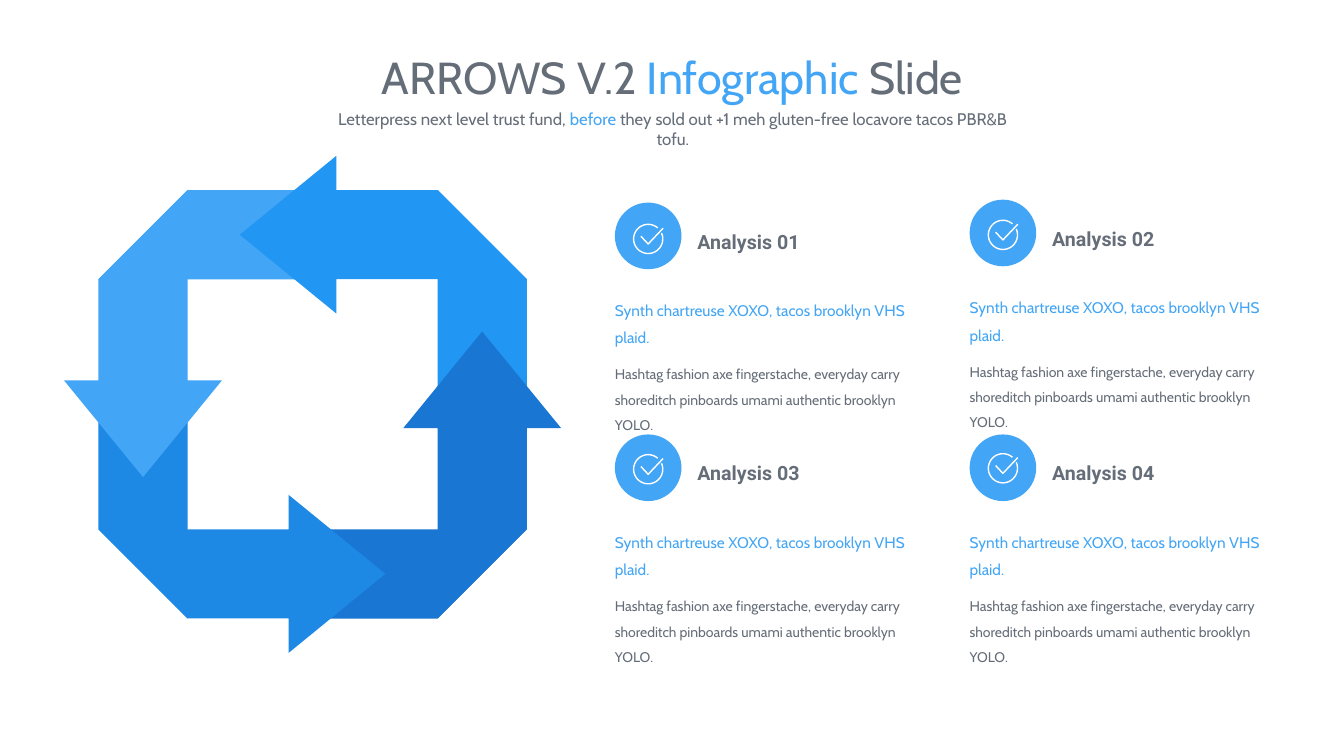
from math import cos, radians, sin

from pptx import Presentation
from pptx.dml.color import RGBColor
from pptx.enum.shapes import MSO_SHAPE as SHAPE
from pptx.enum.text import MSO_ANCHOR as ANCHOR, PP_ALIGN as ALIGN
from pptx.util import Pt

# Content
GREY, BLUE, WHITE = "656D78", "42A5F5", "FFFFFF"
TITLE = [("ARROWS V.2 ", GREY), ("Infographic ", BLUE), ("Slide", GREY)]
SUBTITLE = [
    ("Letterpress next level trust fund, ", GREY),
    ("before", BLUE),
    (" they sold out +1 meh gluten-free locavore tacos PBR&B tofu.", GREY),
]
LEAD = "Synth chartreuse XOXO, tacos brooklyn VHS plaid."
DETAIL = ("Hashtag fashion axe fingerstache, everyday carry "
          "shoreditch pinboards umami authentic brooklyn YOLO.")
# heading, left, top, drop of the tick below the disc centre
CARDS = [
    ("Analysis 01", 439.2, 144.7, 2.2),
    ("Analysis 02", 692.6, 142.6, 1.4),
    ("Analysis 03", 439.2, 310.3, 1.1),
    ("Analysis 04", 692.6, 310.3, 0.4),
]

# Arrow ring: top arrow around the centre, then quarter turns to the left
CENTRE = (223.3, 288.8)
ARROW_COLOURS = ["2196F3", "42A5F5", "1E88E5", "1976D2"]
OUT, IN, CUT = 153, 89.3, 17
TAIL = [(IN, -OUT), (IN, CUT), (OUT, CUT), (OUT, -IN)]
HEAD = [(OUT, -IN), (IN, -OUT), (CUT, -OUT), (CUT, -177.5),
        (-52, -121.1), (CUT, -64.8), (CUT, -IN)]

# Tick icon around its own centre
DISC, TICK_RADIUS = 47.6, 10.4
RING = [(TICK_RADIUS * cos(radians(a)), TICK_RADIUS * sin(radians(a)))
        for a in range(-24, 316, 5)]
TICK = [(-5.2, -1.9), (0, 3.6), (10.6, -7.6)]

prs = Presentation()
prs.slide_width, prs.slide_height = Pt(960), Pt(540)
s = prs.slides.add_slide(prs.slide_layouts[6])


def rgb(code):
    return RGBColor.from_string(code)


def paint(sp, colour):
    sp.shadow.inherit = False
    sp.fill.solid()
    sp.fill.fore_color.rgb = rgb(colour)
    sp.line.fill.background()


def outline(centre, contours, close):
    """Build one freeform from contours given around a centre."""
    placed = [[(Pt(centre[0] + x), Pt(centre[1] + y)) for x, y in c]
              for c in contours]
    fb = s.shapes.build_freeform(*placed[0][0])
    for i, points in enumerate(placed):
        if i:
            fb.move_to(*points[0])
        fb.add_line_segments(points[1:], close=close)
    return fb.convert_to_shape()


def quarter_turns(points, n):
    for _ in range(n):
        points = [(y, -x) for x, y in points]
    return points


def text_box(left, top, width, height, inset=True):
    tf = s.shapes.add_textbox(Pt(left), Pt(top), Pt(width), Pt(height)).text_frame
    tf.word_wrap = True
    if not inset:
        tf.margin_left = tf.margin_top = tf.margin_right = tf.margin_bottom = 0
    return tf


def add_run(p, text, size, colour, font="Cabin", bold=False):
    r = p.add_run()
    r.text = text
    r.font.name, r.font.size, r.font.bold = font, Pt(size), bold
    r.font.color.rgb = rgb(colour)


# Title and subtitle
for runs, size, box in [(TITLE, 32, (182.9, 32, 594.7, 46)),
                        (SUBTITLE, 12, (230.4, 74.2, 500.4, 21.6))]:
    p = text_box(*box).paragraphs[0]
    p.alignment = ALIGN.CENTER
    for text, colour in runs:
        add_run(p, text, size, colour)

# Arrow ring: every tail lies under the next arrow's head
for part in (TAIL, HEAD):
    for n, colour in enumerate(ARROW_COLOURS):
        paint(outline(CENTRE, [quarter_turns(part, n)], True), colour)

# Cards
for heading, x, y, drop in CARDS:
    disc = s.shapes.add_shape(SHAPE.ROUNDED_RECTANGLE,
                              Pt(x), Pt(y), Pt(DISC), Pt(DISC))
    disc.adjustments[0] = 0.5
    paint(disc, BLUE)

    tf = text_box(x + 59, y + 15, 139, 20.2, inset=False)
    tf.vertical_anchor = ANCHOR.MIDDLE
    p = tf.paragraphs[0]
    p.line_spacing = 1.3
    add_run(p, heading, 14, GREY, "Roboto", True)

    tf = text_box(x, y + 63.6, 222.8, 62.6, inset=False)
    p = tf.paragraphs[0]
    p.line_spacing = 1.5
    add_run(p, LEAD, 11, BLUE)
    p = tf.add_paragraph()
    p.line_spacing, p.space_before = 1.5, Pt(7.5)
    add_run(p, DETAIL, 10, GREY)

    icon = outline((x + DISC / 2, y + DISC / 2 + drop), [RING, TICK], False)
    icon.shadow.inherit = False
    icon.fill.background()
    icon.line.color.rgb = rgb(WHITE)
    icon.line.width = Pt(1)

prs.save("out.pptx")
